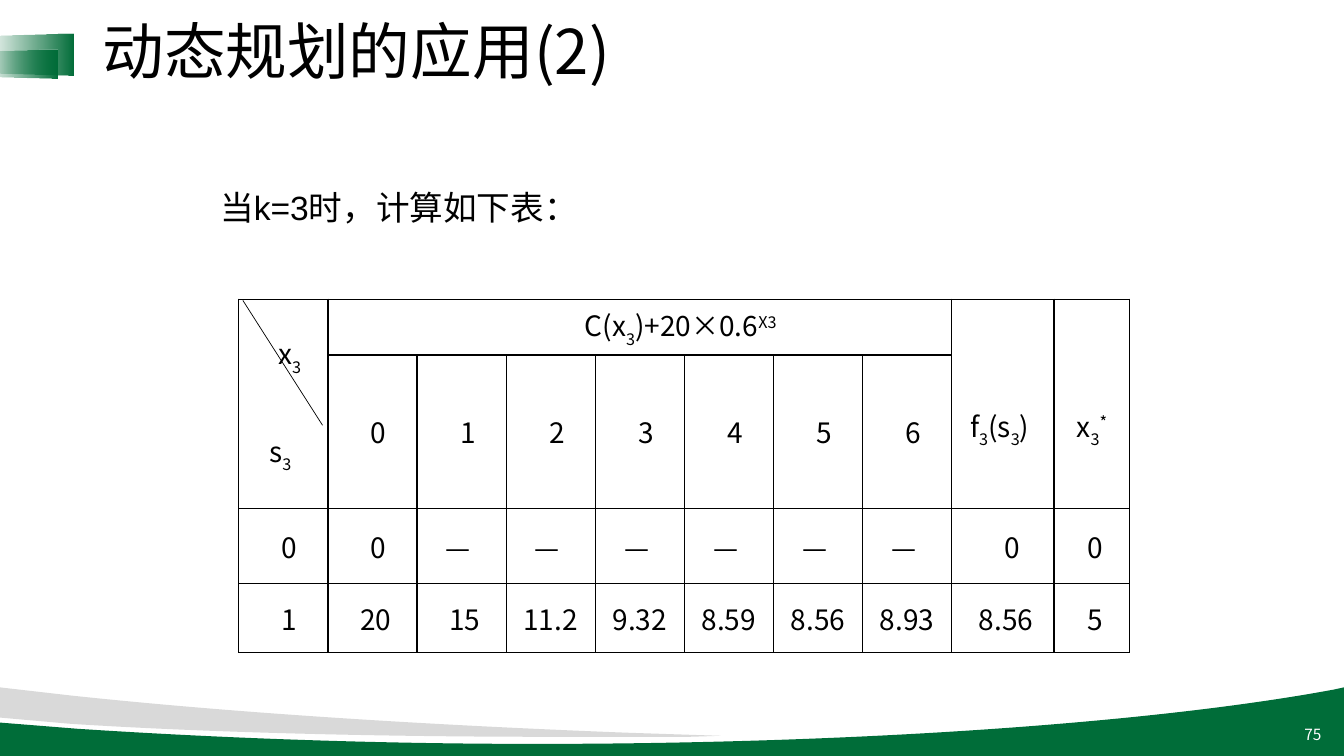
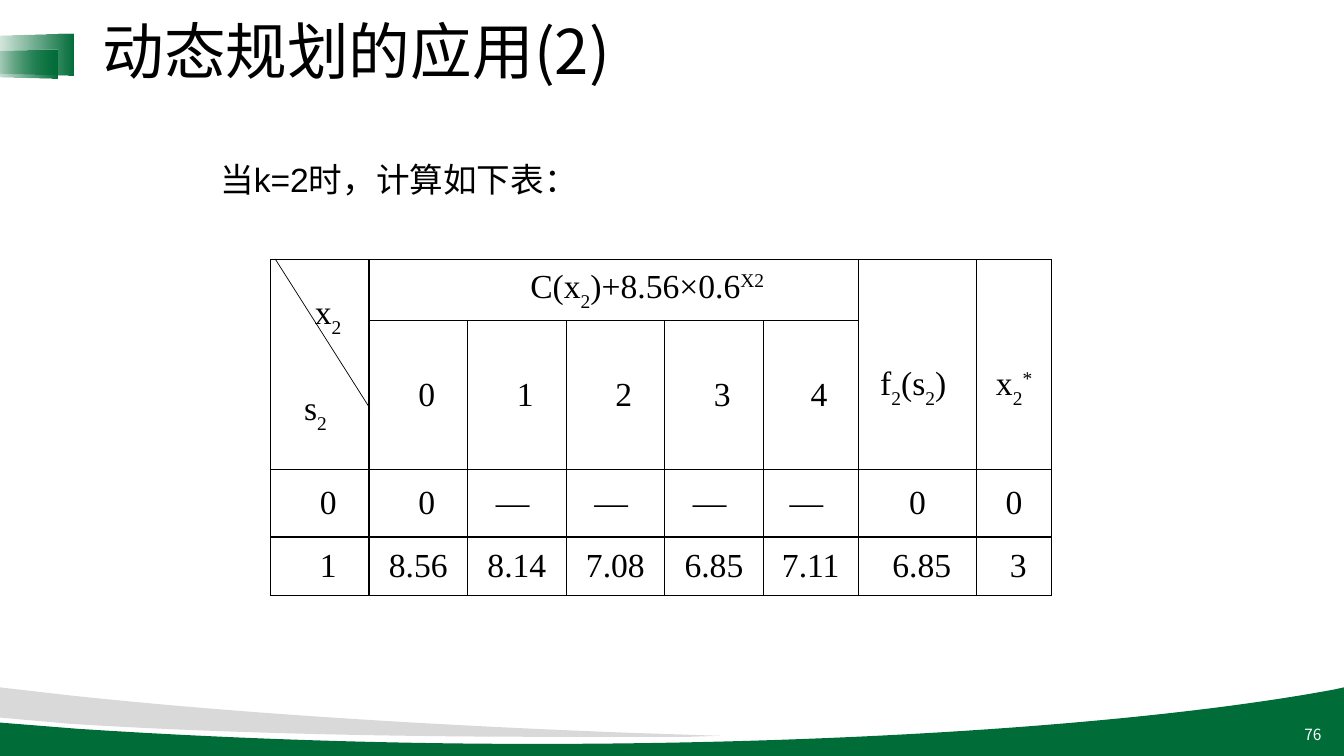
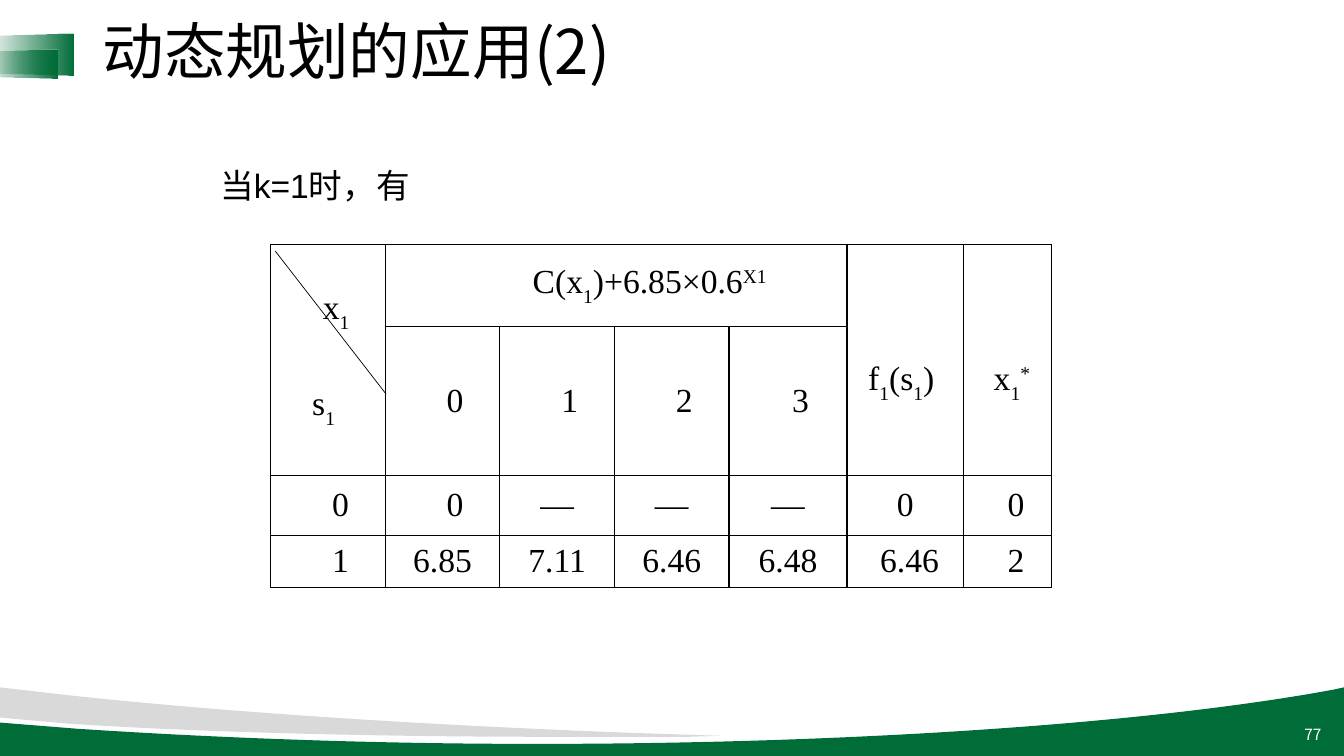
from dataclasses import dataclass
from itertools import product

from lxml.etree import SubElement
from pptx import Presentation
from pptx.dml.color import RGBColor as RGB
from pptx.enum.shapes import MSO_CONNECTOR as CONN, MSO_SHAPE as SHAPE
from pptx.enum.text import MSO_ANCHOR as ANCHOR, PP_ALIGN as ALIGN
from pptx.oxml.ns import qn
from pptx.util import Pt


@dataclass(frozen=True)
class TextStyle:
    size: float
    font: str
    color: RGB
    east_asian: str


@dataclass(frozen=True)
class Theme:
    green = RGB(0x00, 0x6D, 0x39)
    grey = RGB(0xD9, 0xD9, 0xD9)
    black = RGB(0, 0, 0)
    white = RGB(0xFF, 0xFF, 0xFF)
    sans = "Noto Sans CJK SC"
    title = TextStyle(44, sans, black, sans)
    lead = TextStyle(24, "Arial", black, sans)
    number = TextStyle(11, sans, white, sans)
    cell_sans = TextStyle(20, sans, black, sans)
    cell_serif = TextStyle(24, "Times New Roman", black, "Times New Roman")
    border = 1
    diagonal = 0.5
    inset_x = 7.2
    inset_y = 3.6


T = Theme()


@dataclass(frozen=True)
class Box:
    left: float
    top: float
    width: float
    height: float

    def emu(self) -> tuple:
        return tuple(Pt(v) for v in (self.left, self.top, self.width, self.height))


@dataclass(frozen=True)
class Entry:
    text: str
    pad: int = 0


@dataclass(frozen=True)
class StageTable:
    k: int
    lead: str
    lead_top: float
    left: float
    top: float
    cols: list
    rows: list
    style: TextStyle
    space: float
    constant: str
    formula_pad: int
    digit_pad: int
    best_pad: int
    drop: float
    idle: list
    active: list
    diagonal: tuple


DASH = Entry("—", -1)
MID_DASH = Entry("—")


def entries(*texts: str) -> list:
    return [Entry(t) for t in texts]


STAGES = [
    StageTable(
        3, "当k=3时，计算如下表：", 131.5, 170.6, 213.8,
        [63.65] * 8 + [73.2, 54.2], [39.8, 109.5, 53.6, 49.4],
        T.cell_sans, 4.5, "20", 13, 2, 0, 34,
        [Entry("0", 2), Entry("0", 2)] + [DASH] * 6 + [Entry("0", 3), Entry("0", 1)],
        [Entry("1", 2), Entry("20", 1), Entry("15", 1)]
        + entries("11.2", "9.32", "8.59", "8.56", "8.93")
        + [Entry("8.56", 1), Entry("5", 1)],
        (173.5, 214.6, 230.4, 303.8),
    ),
    StageTable(
        2, "当k=2时，计算如下表：", 111.5, 193.2, 185.6,
        [70.4] * 5 + [67.9, 84.7, 53.3], [43.4, 106.4, 48.2, 41.8],
        T.cell_serif, 6, "8.56", 8, 2, 0, 33,
        [Entry("0", 2), Entry("0", 2)] + [DASH] * 4 + entries("0", "0"),
        [Entry("1", 2)] + entries("8.56", "8.14", "7.08", "6.85", "7.11")
        + [Entry("6.85", 1), Entry("3", 1)],
        (196.6, 185, 264.2, 291.6),
    ),
    StageTable(
        1, "当k=1时，有", 116, 193.2, 174.5,
        [81.9] * 4 + [84.2, 83.5, 62.7], [58.6, 106.4, 42.9, 37.2],
        T.cell_serif, 6, "6.85", 8, 3, 1, 33,
        [Entry("0", 3), Entry("0", 3)] + [MID_DASH] * 3 + [Entry("0"), Entry("0", 2)],
        [Entry("1", 3)] + entries("6.85", "7.11", "6.46", "6.48")
        + [Entry("6.46", 1), Entry("2", 2)],
        (196.6, 179.3, 275.8, 281.5),
    ),
]

GREEN_WAVE = [
    (960, 491), (960, 540.5), (0, 540.5), (0, 516.2), (55.4, 520.6),
    ((153, 527), (264, 531.4), (383, 531.4)),
    ((620.6, 531.4), (830, 515.5), (953.3, 492.5)),
]
GREY_WAVE = [
    (0, 491), (50.4, 496.8),
    ((164.9, 509), (300.2, 517.7), (447.8, 523.4)),
    (514.8, 525.6), (492.5, 526.3),
    ((460.8, 526.3), (427.7, 526.3), (394.6, 526.3)),
    ((259.9, 526.3), (138.2, 522.7), (49.7, 517)),
    (0, 512.6),
]
TABS = [Box(5.8, 7.2, 29.5, 63.4), Box(4.3, 19.4, 20.9, 52.6)]


def put(obj, fmt: dict) -> None:
    for name, value in fmt.items():
        setattr(obj, name, value)


def add_runs(p, markup: str, style: TextStyle) -> None:
    levels = {"_": "-30000", "^": "30000"}
    for piece in markup.split("|"):
        r = p.add_run()
        level = levels.get(piece[0])
        r.text = piece[1:] if level else piece
        put(r.font, {"size": Pt(style.size), "name": style.font})
        r.font.color.rgb = style.color
        rPr = r.font._element
        SubElement(rPr, qn("a:ea"), typeface=style.east_asian)
        rPr.set("lang", "zh-CN")
        if level:
            rPr.set("baseline", level)


def add_text(s, box: Box, text: str, style: TextStyle, align=ALIGN.LEFT, spacing=1.0) -> None:
    tf = s.shapes.add_textbox(*box.emu()).text_frame
    put(tf, {"word_wrap": True, "vertical_anchor": ANCHOR.MIDDLE})
    p = tf.paragraphs[0]
    put(p, {"alignment": align, "line_spacing": spacing})
    add_runs(p, text, style)


def is_curve(step: tuple) -> bool:
    return isinstance(step[0], tuple)


def bend(sp, outline: list) -> None:
    segments = list(sp._element.iter(qn("a:lnTo")))
    for segment, step in zip(segments, outline[1:]):
        if is_curve(step):
            cubic = segment.makeelement(qn("a:cubicBezTo"))
            for x, y in step:
                SubElement(cubic, qn("a:pt"), x=str(Pt(x) - sp.left), y=str(Pt(y) - sp.top))
            segment.getparent().replace(segment, cubic)


def add_wave(s, outline: list, color: RGB) -> None:
    anchors = [step[-1] if is_curve(step) else step for step in outline]
    emu = [(Pt(x), Pt(y)) for x, y in anchors]
    builder = s.shapes.build_freeform(*emu[0], scale=1.0)
    builder.add_line_segments(emu[1:], close=True)
    sp = builder.convert_to_shape()
    bend(sp, outline)
    sp.shadow.inherit = False
    sp.fill.solid()
    sp.fill.fore_color.rgb = color
    sp.line.fill.background()


def add_tab(s, box: Box) -> None:
    sp = s.shapes.add_shape(SHAPE.TRAPEZOID, *box.emu())
    sp.rotation = 270
    sp.adjustments[0] = 0.07
    sp.shadow.inherit = False
    sp.line.fill.background()
    sp.fill.gradient()
    sp.fill.gradient_angle = 0
    for stop in sp.fill.gradient_stops:
        stop.color.rgb = T.green
    grad = sp._element.spPr.find(qn("a:gradFill"))
    grad.set("rotWithShape", "0")
    SubElement(next(grad.iter(qn("a:srgbClr"))), qn("a:alpha"), val="0")


def add_frame(s, number: int) -> None:
    add_wave(s, GREEN_WAVE, T.green)
    add_wave(s, GREY_WAVE, T.grey)
    for box in TABS:
        add_tab(s, box)
    add_text(s, Box(735, 510.5, 216, 28.8), str(number), T.number, ALIGN.RIGHT)
    add_text(s, Box(66.2, 6.5, 828, 64.8), "动态规划的应用(2)", T.title, spacing=0.9)


def outline_cell(cell) -> None:
    tcPr = cell._tc.get_or_add_tcPr()
    for side in ("a:lnL", "a:lnR", "a:lnT", "a:lnB"):
        ln = SubElement(tcPr, qn(side), w=str(Pt(T.border)))
        SubElement(SubElement(ln, qn("a:solidFill")), qn("a:srgbClr"), val=str(T.black))
    cell.fill.background()


def fill_cell(cell, entry: Entry, st: StageTable, drop: float = 0):
    shift = entry.pad * st.space
    put(cell, {
        "vertical_anchor": ANCHOR.MIDDLE,
        "margin_left": Pt(T.inset_x + max(shift, 0)),
        "margin_right": Pt(T.inset_x + max(-shift, 0)),
        "margin_top": Pt(T.inset_y + drop),
        "margin_bottom": Pt(T.inset_y),
    })
    p = cell.text_frame.paragraphs[0]
    p.alignment = ALIGN.CENTER
    add_runs(p, entry.text, st.style)
    return p


def fill_corner(cell, st: StageTable) -> None:
    p = fill_cell(cell, Entry(f"x|_{st.k}", -1), st)
    put(cell, {"margin_top": 0, "margin_bottom": 0})
    p._p.get_or_add_pPr().set("marL", str(Pt(3 * st.space)))
    p = cell.text_frame.add_paragraph()
    put(p, {"alignment": ALIGN.CENTER, "space_before": Pt(37)})
    add_runs(p, f"s|_{st.k}", st.style)


def add_stage_table(s, st: StageTable) -> None:
    k, rows, cols = st.k, len(st.rows), len(st.cols)
    box = Box(st.left, st.top, sum(st.cols), sum(st.rows))
    tb = s.shapes.add_table(rows, cols, *box.emu()).table
    put(tb, {"first_row": False, "horz_banding": False})
    for col, width in zip(tb.columns, st.cols):
        col.width = Pt(width)
    for row, height in zip(tb.rows, st.rows):
        row.height = Pt(height)
    for r, c in product(range(rows), range(cols)):
        outline_cell(tb.cell(r, c))
    value, best = cols - 2, cols - 1
    for c in (0, value, best):
        tb.cell(0, c).merge(tb.cell(1, c))
    tb.cell(0, 1).merge(tb.cell(0, value - 1))

    fill_corner(tb.cell(0, 0), st)
    formula = f"C(x|_{k}|)+{st.constant}×0.6|^X{k}"
    fill_cell(tb.cell(0, 1), Entry(formula, st.formula_pad), st)
    fill_cell(tb.cell(0, value), Entry(f"f|_{k}|(s|_{k}|)", -1), st, st.drop)
    fill_cell(tb.cell(0, best), Entry(f"x|_{k}|^*", st.best_pad), st, st.drop)
    for c in range(1, value):
        fill_cell(tb.cell(1, c), Entry(str(c - 1), st.digit_pad), st)
    for r, line in enumerate((st.idle, st.active), 2):
        for c, entry in enumerate(line):
            fill_cell(tb.cell(r, c), entry, st)


def add_diagonal(s, ends: tuple) -> None:
    ln = s.shapes.add_connector(CONN.STRAIGHT, *(Pt(v) for v in ends))
    ln.line.color.rgb = T.black
    ln.line.width = Pt(T.diagonal)
    SubElement(ln._element.spPr, qn("a:effectLst"))


def main() -> None:
    prs = Presentation()
    put(prs, {"slide_width": Pt(960), "slide_height": Pt(540)})
    for number, st in enumerate(STAGES, 75):
        s = prs.slides.add_slide(prs.slide_layouts[6])
        add_frame(s, number)
        add_text(s, Box(150.2, st.lead_top, 664.6, 36), st.lead, T.lead, spacing=0.9)
        add_stage_table(s, st)
        add_diagonal(s, st.diagonal)
    prs.save("out.pptx")


if __name__ == "__main__":
    main()
